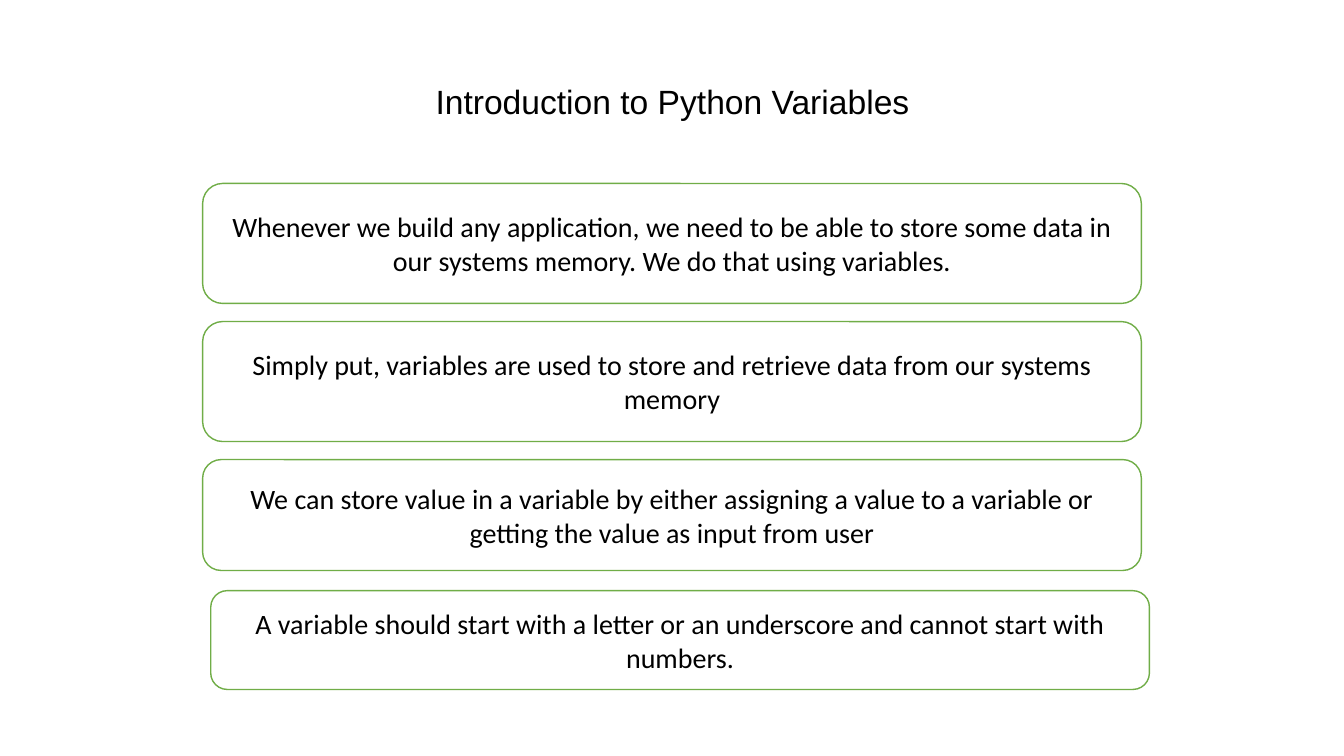
from pptx import Presentation
from pptx.dml.color import RGBColor
from pptx.enum.shapes import MSO_SHAPE
from pptx.enum.text import MSO_ANCHOR, PP_ALIGN
from pptx.util import Inches, Pt

ROUNDED = MSO_SHAPE.ROUNDED_RECTANGLE
MIDDLE = MSO_ANCHOR.MIDDLE
CENTER = PP_ALIGN.CENTER
COLORS = {"text": "000000", "box": "FFFFFF", "border": "70AD47"}


def rgb(name):
    return RGBColor.from_string(COLORS[name])


def write(shape, text, font, size):
    """Put one centred run into the shape and return its paragraph."""
    tf = shape.text_frame
    tf.word_wrap = True
    tf.vertical_anchor = MIDDLE
    p = tf.paragraphs[0]
    p.alignment = CENTER
    r = p.add_run()
    r.text = text
    r.font.name = font
    r.font.size = Pt(size)
    r.font.color.rgb = rgb("text")
    return p


prs = Presentation()
prs.slide_width = Inches(13.33)
prs.slide_height = Inches(7.5)
s = prs.slides.add_slide(prs.slide_layouts[5])

title = s.shapes.title
title.left, title.top = Inches(0.92), Inches(0.4)
title.width, title.height = Inches(11.5), Inches(1.25)
p = write(title, "Introduction to Python Variables", "Arial", 24)
p.line_spacing = 0.9

# left, top, height, text
points = [
    (2.01, 1.82, 1.19, "Whenever we build any application, we need to be able to store "
                       "some data in our systems memory. We do that using variables."),
    (2.01, 3.19, 1.19, "Simply put, variables are used to store and retrieve data "
                       "from our systems memory"),
    (2.01, 4.56, 1.1, "We can store value in a variable by either assigning a value "
                      "to a variable or getting the value as input from user"),
    (2.09, 5.86, 0.98, "A variable should start with a letter or an underscore "
                       "and cannot start with numbers."),
]
for left, top, height, text in points:
    sp = s.shapes.add_shape(ROUNDED, Inches(left), Inches(top), Inches(9.31), Inches(height))
    sp.shadow.inherit = False
    sp.fill.solid()
    sp.fill.fore_color.rgb = rgb("box")
    sp.line.color.rgb = rgb("border")
    sp.line.width = Pt(1)
    write(sp, text, "Calibri", 20)

prs.save("out.pptx")
